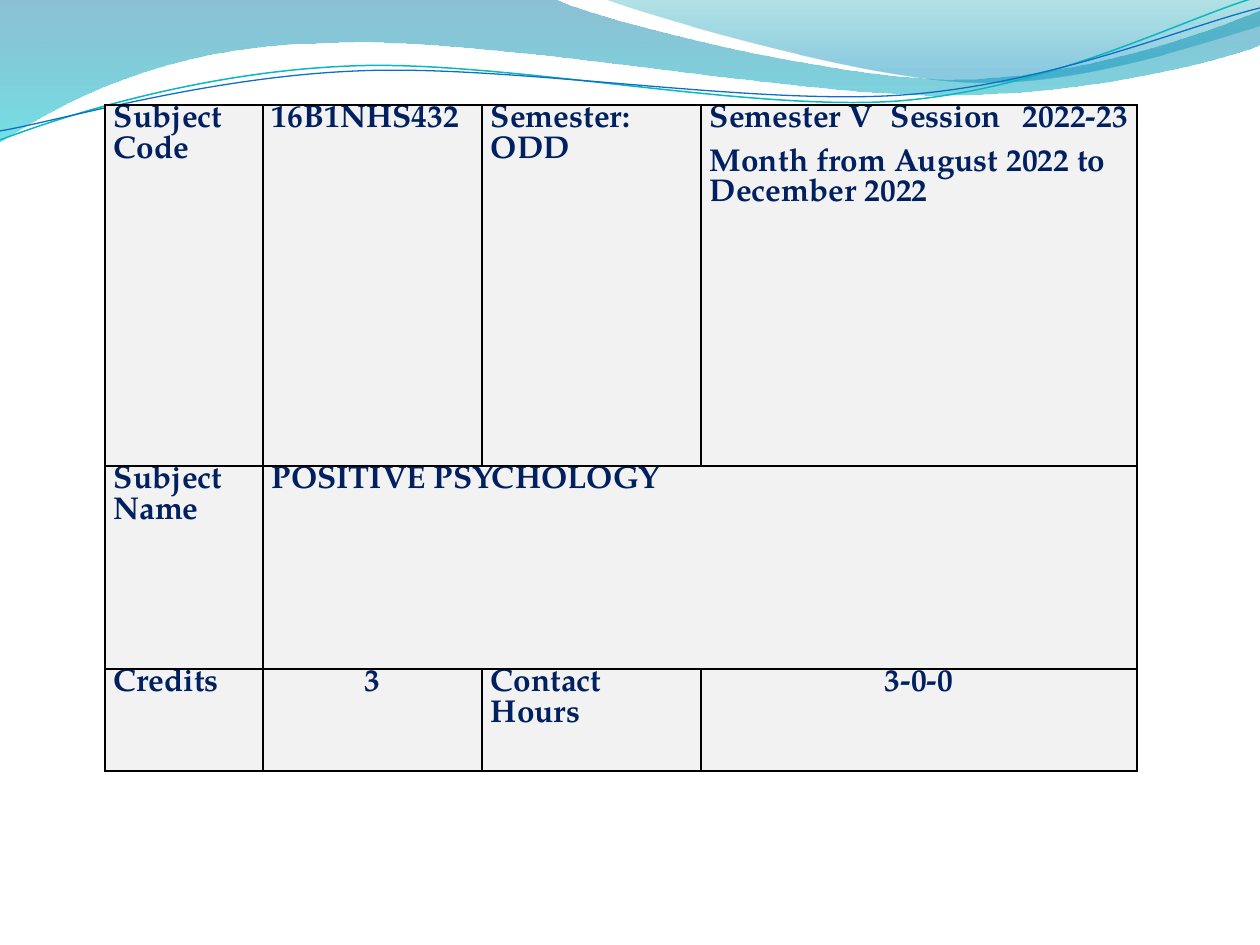
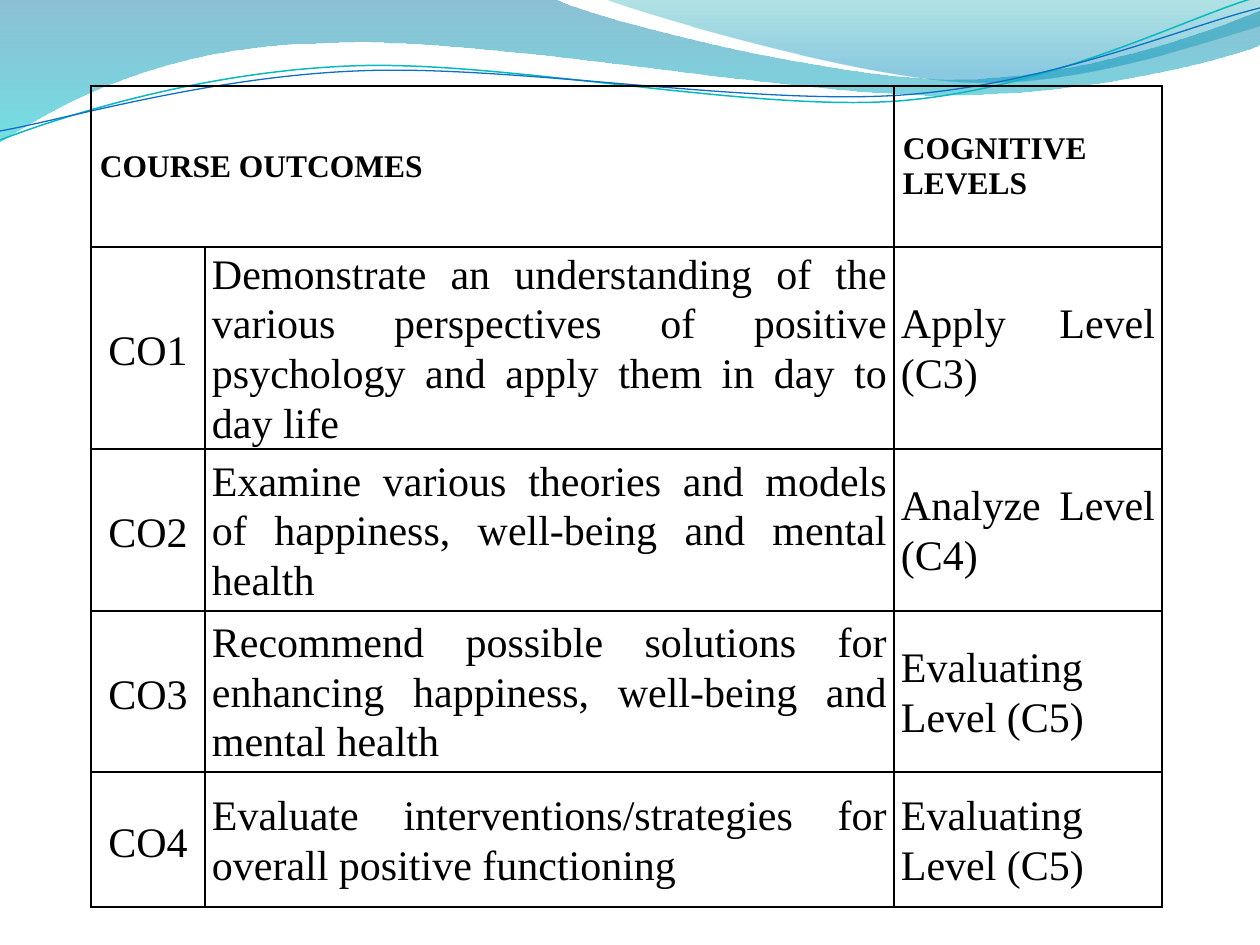
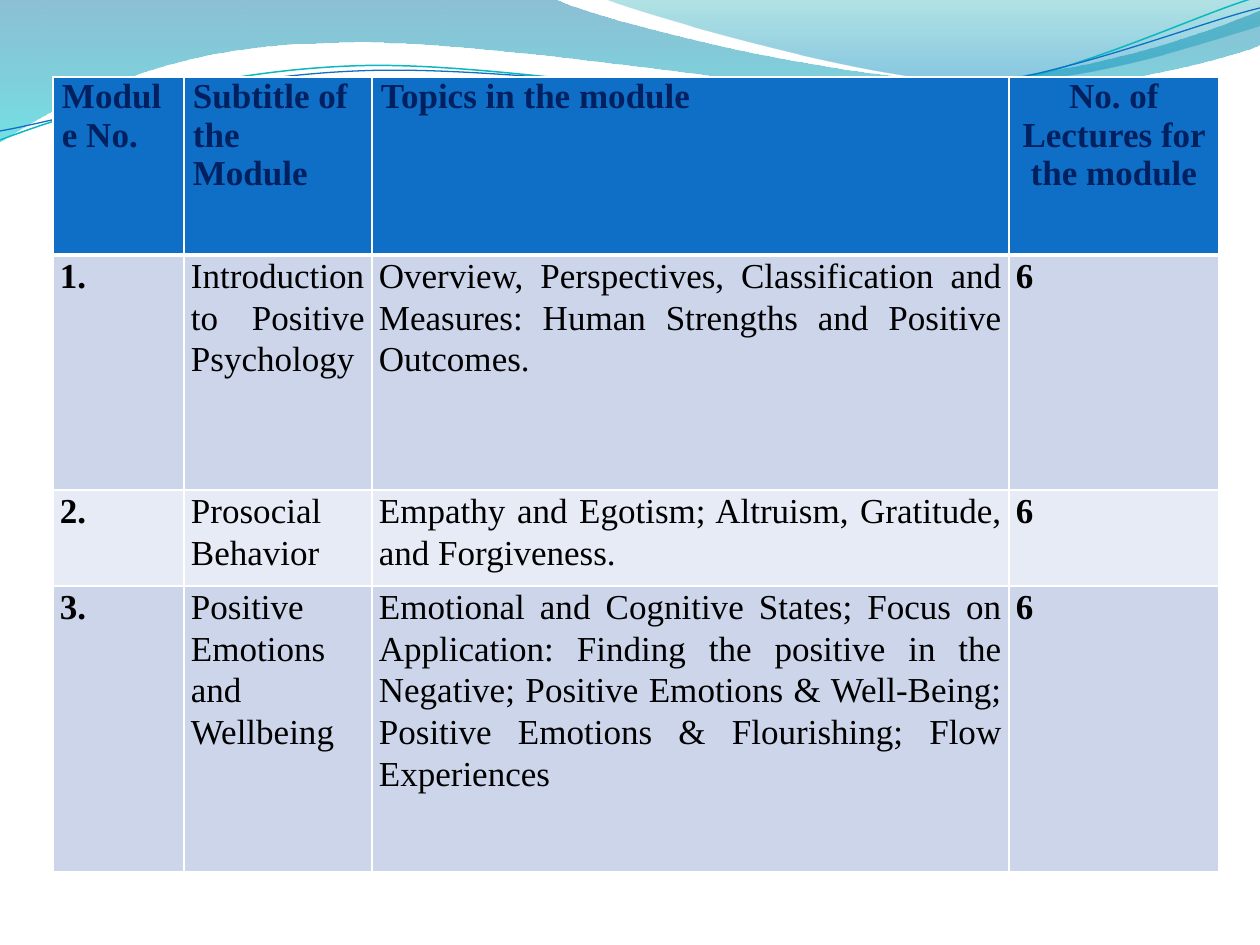
from lxml import etree
from pptx import Presentation
from pptx.dml.color import RGBColor
from pptx.enum.text import MSO_ANCHOR, PP_ALIGN
from pptx.oxml.ns import qn
from pptx.util import Emu, Pt

EMU_PER_PX = 914400 / 126
TOP, MIDDLE = MSO_ANCHOR.TOP, MSO_ANCHOR.MIDDLE
LEFT, CENTER, JUSTIFY = PP_ALIGN.LEFT, PP_ALIGN.CENTER, PP_ALIGN.JUSTIFY
SERIF = "Times New Roman"

COLORS = {
    "black": "000000", "white": "FFFFFF", "navy": "002060",
    "blue": "0F6FC6", "aqua": "0AB8BF", "grey": "F2F2F2",
    "band dark": "CCD5EA", "band light": "E7EBF5",
    "deep teal": "0074A1", "turquoise": "00C6CF",
    "teal": "00A1A9", "sky": "008BBF",
}

# A segment of one point is a straight line, one of three points a curve.
# Gradient stops: position, colour, opacity in percent.
WAVES = [
    {"start": (0, 0), "stops": [(0, "deep teal", 45), (1, "turquoise", 55)],
     "segments": [[(554, -1)],
                  [(600, 21), (837, 79), (955, 79)],
                  [(1075, 79), (1207, 33), (1260, 11)],
                  [(1261, 45)],
                  [(1239, 55), (1096, 96), (940, 95)],
                  [(784, 95), (481, 35), (324, 43)],
                  [(163, 45), (58, 105), (-1, 142)]]},
    {"start": (604, -1), "stops": [(0, "teal", 30), (0.8, "sky", 45)],
     "segments": [[(641, 14), (859, 78), (969, 82)],
                  [(1079, 87), (1211, 40), (1260, 26)],
                  [(1260, 0)]]},
    {"start": (0, 140), "line": ("aqua", 0.85),
     "segments": [[(60, 117), (199, 72), (349, 66)],
                  [(498, 59), (747, 112), (898, 101)],
                  [(1050, 89), (1182, 19), (1257, -3)]]},
    {"start": (0, 131), "line": ("blue", 0.75),
     "segments": [[(59, 121), (207, 77), (357, 71)],
                  [(508, 64), (752, 106), (903, 95)],
                  [(1053, 84), (1186, 26), (1260, 8)]]},
]

# Side margin, anchor, paragraph format, font format, text colour
COURSE_FONT = {"name": "TeX Gyre Pagella", "size": Pt(18), "bold": True}
HEADING_FONT = {"name": SERIF, "size": Pt(18), "bold": True}
OUTCOME_FONT = {"name": SERIF, "size": Pt(24), "bold": False}
MODULE_HEAD_FONT = {"name": SERIF, "size": Pt(20), "bold": True}
MODULE_FONT = {"name": SERIF, "size": Pt(20), "bold": False}
BODY = {"alignment": JUSTIFY, "line_spacing": 1.07}
STYLES = {
    "course": (9, TOP, {"alignment": LEFT, "space_after": Pt(3.6)}, COURSE_FONT, "navy"),
    "course value": (9, TOP, {"alignment": CENTER}, COURSE_FONT, "navy"),
    "heading": (9, MIDDLE, {"alignment": LEFT}, HEADING_FONT, "black"),
    "code": (9, MIDDLE, {"alignment": CENTER, "line_spacing": 1.15, "space_after": Pt(10)},
             OUTCOME_FONT, "black"),
    "outcome": (7, MIDDLE, BODY, OUTCOME_FONT, "black"),
    "module head": (9, TOP, {"alignment": LEFT}, MODULE_HEAD_FONT, "navy"),
    "lectures head": (9, TOP, {"alignment": CENTER}, MODULE_HEAD_FONT, "navy"),
    "number": (7, TOP, BODY, MODULE_HEAD_FONT, "black"),
    "module": (7, TOP, BODY, MODULE_FONT, "black"),
}
COURSE_ROW = ["course"] * 4
CREDITS_ROW = ["course", "course value"] * 2
OUTCOME_ROW = ["code", "outcome", "outcome"]
MODULE_HEAD_ROW = ["module head"] * 3 + ["lectures head"]
MODULE_ROW = ["number", "module", "module", "number"]

# Each row: height, fill, styles, texts. None is covered by a merged cell.
TABLES = [
    {"corner": (105, 105), "columns": [158, 219, 219, 436],
     "border": ("black", 1.5), "header_rule": 1.5, "merge": (1, 1, 3),
     "rows": [
         (361, "grey", COURSE_ROW,
          ["Subject Code", "16B1NHS432", "Semester: ODD",
           "Semester V\tSession\t2022-23\nMonth from August 2022 to December 2022"]),
         (203, "grey", COURSE_ROW, ["Subject Name", "POSITIVE PSYCHOLOGY", None, None]),
         (102, "grey", CREDITS_ROW, ["Credits", "3", "Contact Hours", "3-0-0"]),
     ]},
    {"corner": (91, 86), "columns": [114, 689, 268],
     "border": ("black", 1.5), "header_rule": 1.5, "merge": (0, 0, 1),
     "rows": [
         (161, None, ["heading"] * 3, ["COURSE OUTCOMES", None, "COGNITIVE LEVELS"]),
         (202, None, OUTCOME_ROW,
          ["CO1", "Demonstrate an understanding of the various perspectives of positive "
           "psychology and apply them in day to day life", "Apply Level (C3)"]),
         (162, None, OUTCOME_ROW,
          ["CO2", "Examine various theories and models of happiness, well-being and "
           "mental health", "Analyze Level (C4)"]),
         (161, None, OUTCOME_ROW,
          ["CO3", "Recommend possible solutions for enhancing happiness, well-being and "
           "mental health", "Evaluating Level (C5)"]),
         (135, None, OUTCOME_ROW,
          ["CO4", "Evaluate interventions/strategies for overall positive functioning",
           "Evaluating Level (C5)"]),
     ]},
    {"corner": (53, 77), "columns": [131, 188, 637, 210],
     "border": ("white", 1), "header_rule": 3, "merge": None,
     "rows": [
         (178, "blue", MODULE_HEAD_ROW,
          ["Module No.", "Subtitle of the Module", "Topics in the module",
           "No. of Lectures for the module"]),
         (235, "band dark", MODULE_ROW,
          ["1.", "Introduction to Positive Psychology",
           "Overview, Perspectives, Classification and Measures: Human Strengths and "
           "Positive Outcomes.", "6"]),
         (96, "band light", MODULE_ROW,
          ["2.", "Prosocial Behavior",
           "Empathy and Egotism; Altruism, Gratitude, and Forgiveness.", "6"]),
         (286, "band dark", MODULE_ROW,
          ["3.", "Positive Emotions and Wellbeing",
           "Emotional and Cognitive States; Focus on Application: Finding the positive in "
           "the Negative; Positive Emotions & Well-Being; Positive Emotions & Flourishing; "
           "Flow Experiences", "6"]),
     ]},
]
SESSION_TABS = [181, 313]


def px(length):
    return Emu(round(length * EMU_PER_PX))


def color(name):
    return RGBColor.from_string(COLORS[name])


deck = Presentation()
deck.slide_width, deck.slide_height = px(1260), px(945)
layout = deck.slide_layouts[6]
pages = [deck.slides.add_slide(layout) for table_data in TABLES]

# The waves are drawn once and moved to the layout that all slides share.
for wave in WAVES:
    filled = "stops" in wave
    builder = pages[0].shapes.build_freeform(*wave["start"], scale=EMU_PER_PX)
    points = [point for segment in wave["segments"] for point in segment]
    builder.add_line_segments(points, close=filled)
    shape = builder.convert_to_shape()
    shape.shadow.inherit = False

    steps = iter(list(shape.element.iter(qn("a:lnTo"))))
    for segment in wave["segments"]:
        curve = next(steps)
        if len(segment) == 3:
            curve.tag = qn("a:cubicBezTo")
            for step in (next(steps), next(steps)):
                curve.append(step[0])
                step.getparent().remove(step)

    if filled:
        shape.line.fill.background()
        shape.fill.gradient()
        shape.fill.gradient_angle = 270
        for stop, (position, name, opacity) in zip(shape.fill.gradient_stops, wave["stops"]):
            stop.position = position
            stop.color.rgb = color(name)
        for tint, (position, name, opacity) in zip(
                shape.element.iter(qn("a:srgbClr")), wave["stops"]):
            etree.SubElement(tint, qn("a:alpha"), val=str(opacity * 1000))
    else:
        name, weight = wave["line"]
        shape.fill.background()
        shape.line.color.rgb = color(name)
        shape.line.width = Pt(weight)
    layout.shapes.element.append(shape.element)

for page, table_data in zip(pages, TABLES):
    columns, rows = table_data["columns"], table_data["rows"]
    left, top = table_data["corner"]
    table = page.shapes.add_table(
        len(rows), len(columns), px(left), px(top),
        px(sum(columns)), px(sum(row[0] for row in rows))).table
    table.first_row = table.horz_banding = False
    for column, width in zip(table.columns, columns):
        column.width = px(width)
    if table_data["merge"]:
        row_index, first, last = table_data["merge"]
        table.cell(row_index, first).merge(table.cell(row_index, last))

    border_color, border_weight = table_data["border"]
    for row_index, (height, fill, styles, texts) in enumerate(rows):
        table.rows[row_index].height = px(height)
        for cell, style, text in zip(table.rows[row_index].cells, styles, texts):
            properties = cell._tc.get_or_add_tcPr()
            for side in "LRTB":
                is_rule = row_index == 0 and side == "B"
                weight = table_data["header_rule"] if is_rule else border_weight
                border = etree.SubElement(properties, qn(f"a:ln{side}"), w=str(Pt(weight)))
                solid = etree.SubElement(border, qn("a:solidFill"))
                etree.SubElement(solid, qn("a:srgbClr"), val=COLORS[border_color])
            if fill:
                cell.fill.solid()
                cell.fill.fore_color.rgb = color(fill)
            else:
                cell.fill.background()
            if text is None:
                continue

            margin, anchor, paragraph_format, font_format, text_color = STYLES[style]
            cell.margin_left = cell.margin_right = px(margin)
            cell.margin_top = cell.margin_bottom = 0
            cell.vertical_anchor = anchor
            for line_index, line in enumerate(text.split("\n")):
                frame = cell.text_frame
                para = frame.add_paragraph() if line_index else frame.paragraphs[0]
                if line_index:
                    para.space_before = Pt(3.6)
                for key, value in paragraph_format.items():
                    setattr(para, key, value)
                if "\t" in line:
                    tabs = etree.SubElement(para._p.get_or_add_pPr(), qn("a:tabLst"))
                    for position in SESSION_TABS:
                        etree.SubElement(tabs, qn("a:tab"), pos=str(px(position)), algn="l")
                span = para.add_run()
                span.text = line
                for key, value in font_format.items():
                    setattr(span.font, key, value)
                span.font.color.rgb = color(text_color)

deck.save("out.pptx")
